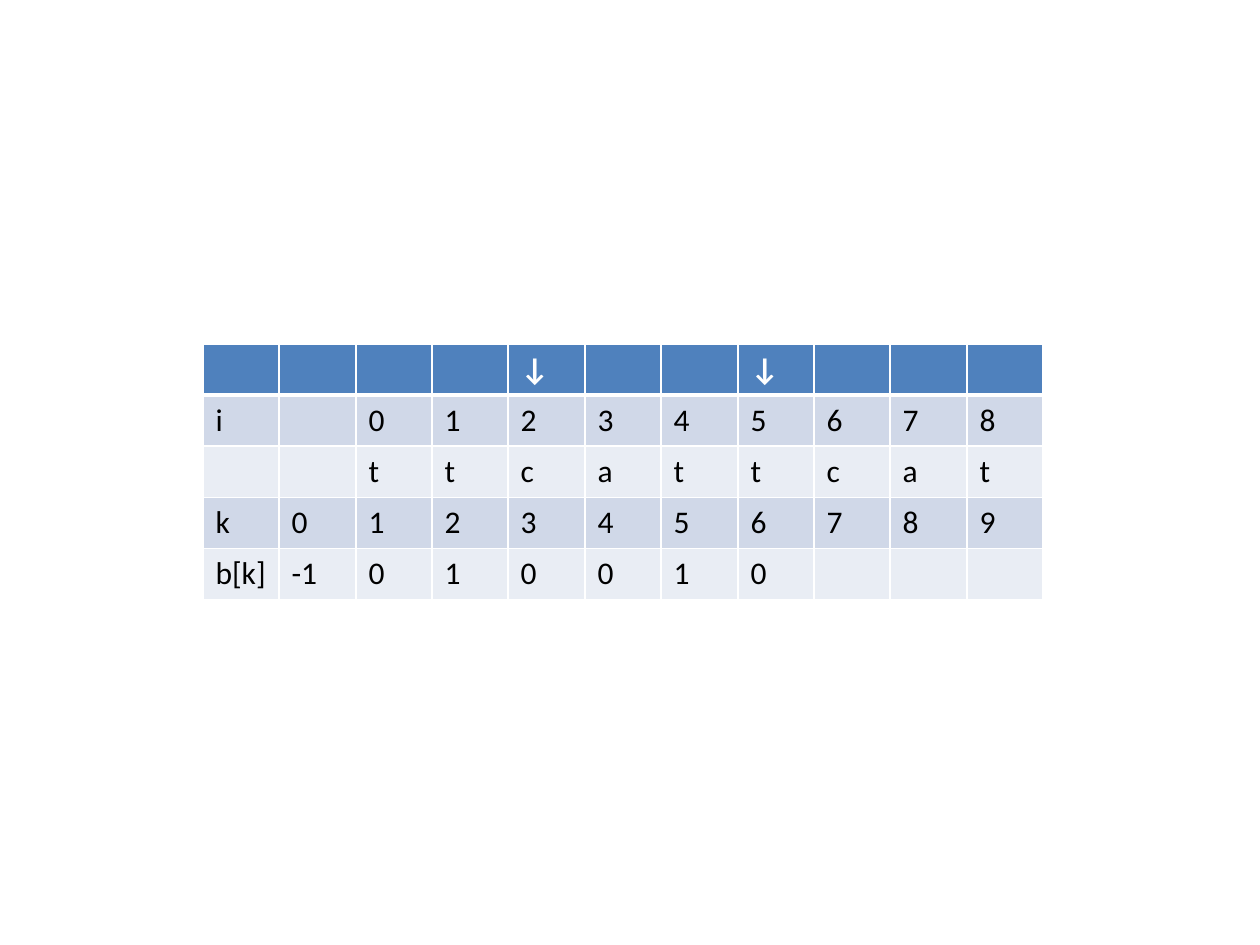
from lxml import etree
from pptx import Presentation
from pptx import util as u
from pptx.dml.color import RGBColor
from pptx.oxml.ns import qn

PX = 914400 // 126
COLORS = {
    "header": "4F81BD",
    "odd": "D0D8E8",
    "even": "E9EDF4",
    "border": "FFFFFF",
    "header_text": "FFFFFF",
    "text": "000000",
}
PATTERN = "ttcattcat"
COLS = len(PATTERN) + 2
LEFT, TOP, WIDTH, ROW_H = 203, 344, 840, 51


def px(n):
    return u.Emu(n * PX)


def rgb(name):
    return RGBColor.from_string(COLORS[name])


def table_rows():
    pointers = {4: "↓", 7: "↓"}
    borders = [-1, 0, 1, 0, 0, 1, 0]
    rows = [
        [pointers.get(c, "") for c in range(COLS)],
        ["i", "", *range(len(PATTERN))],
        ["", "", *PATTERN],
        ["k", *range(len(PATTERN) + 1)],
        ["b[k]", *borders],
    ]
    return [[str(v) for v in row] + [""] * (COLS - len(row)) for row in rows]


def set_borders(cell, widths):
    tc_pr = cell._tc.get_or_add_tcPr()
    for i, (side, width) in enumerate(zip("LRTB", widths)):
        ln = etree.Element(qn("a:ln" + side), w=str(u.Pt(width)))
        fill = etree.SubElement(ln, qn("a:solidFill"))
        etree.SubElement(fill, qn("a:srgbClr"), val=COLORS["border"])
        tc_pr.insert(i, ln)


def fill_cell(cell, value, fill, header):
    cell.fill.solid()
    cell.fill.fore_color.rgb = rgb(fill)
    p = cell.text_frame.paragraphs[0]
    p.font.size = u.Pt(18)
    if value:
        r = p.add_run()
        r.text = value
        r.font.name = "Calibri"
        r.font.size = u.Pt(18)
        r.font.bold = header
        r.font.color.rgb = rgb("header_text" if header else "text")


def add_border_table(s, rows):
    frame = s.shapes.add_table(
        len(rows), COLS, px(LEFT), px(TOP), px(WIDTH), px(ROW_H * len(rows)))
    table = frame.table
    edges = [round(WIDTH * c / COLS) for c in range(COLS + 1)]
    for c, column in enumerate(table.columns):
        column.width = px(edges[c + 1] - edges[c])
    for i, values in enumerate(rows):
        table.rows[i].height = px(ROW_H)
        header = i == 0
        fill = "header" if header else ("even", "odd")[i % 2]
        widths = (1, 1, 3 if i == 1 else 1, 3 if header else 1)
        for c, value in enumerate(values):
            cell = table.cell(i, c)
            fill_cell(cell, value, fill, header)
            set_borders(cell, widths)


def main():
    prs = Presentation()
    prs.slide_width, prs.slide_height = px(1260), px(945)
    s = prs.slides.add_slide(prs.slide_layouts[6])
    add_border_table(s, table_rows())
    prs.save("out.pptx")


main()
